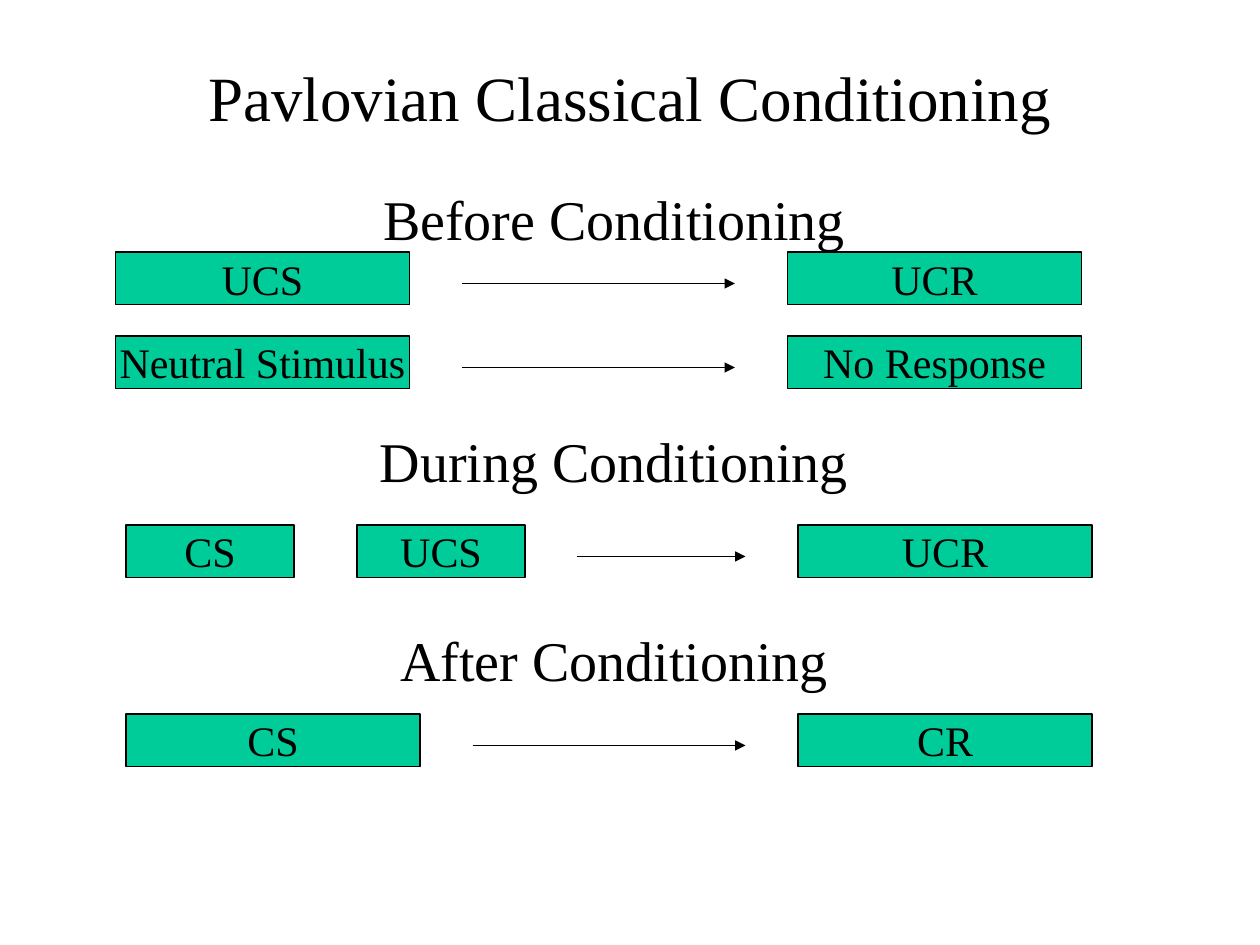
from dataclasses import dataclass

from pptx import Presentation
from pptx.dml.color import RGBColor as Color
from pptx.enum.shapes import MSO_CONNECTOR as Connector, MSO_SHAPE as Shape
from pptx.enum.text import MSO_ANCHOR as Anchor, PP_ALIGN as Align
from pptx.oxml.ns import qn
from pptx.util import Inches, Pt
from lxml.etree import SubElement


@dataclass(frozen=True)
class Theme:
    """Colours, type and line sizes of the slide."""
    font: str = "Times New Roman"
    ink: Color = Color(0x00, 0x00, 0x00)
    green: Color = Color(0x00, 0xCC, 0x99)
    title: int = 36
    heading: int = 32
    label: int = 24
    line: float = 0.75


THEME = Theme()
COLUMNS, ROWS = 120, 90
BOX_WIDTH, PAIR_WIDTH, BOX_HEIGHT = 28, 16, 5
PAIR_GAP, ARROW_GAP, ARROW_DROP = 6, 5, 3


def grid(*units):
    """Turn grid units, twelve to the inch, into slide lengths."""
    return [Inches(unit / 12) for unit in units]


def write_text(frame, text, size, wrap=True, anchor=Anchor.TOP):
    """Write one centred line into a text frame."""
    frame.word_wrap = wrap
    frame.vertical_anchor = anchor
    para = frame.paragraphs[0]
    para.alignment = Align.CENTER
    span = para.add_run()
    span.text = text
    span.font.name = THEME.font
    span.font.size = Pt(size)
    span.font.color.rgb = THEME.ink


def add_heading(page, area, text, size):
    """Place a centred heading in the given area."""
    box = page.shapes.add_textbox(*grid(*area))
    write_text(box.text_frame, text, size)


def add_label_box(page, area, text):
    """Place a green labelled rectangle in the given area."""
    box = page.shapes.add_shape(Shape.RECTANGLE, *grid(*area))
    box.shadow.inherit = False
    box.fill.solid()
    box.fill.fore_color.rgb = THEME.green
    box.line.color.rgb = THEME.ink
    box.line.width = Pt(THEME.line)
    write_text(box.text_frame, text, THEME.label, wrap=False, anchor=Anchor.MIDDLE)


def add_arrow(page, start, end, row):
    """Draw a horizontal arrow between two columns."""
    arrow = page.shapes.add_connector(Connector.STRAIGHT, *grid(start, row, end, row))
    arrow.line.color.rgb = THEME.ink
    arrow.line.width = Pt(THEME.line)
    SubElement(arrow.line._get_or_add_ln(), qn("a:tailEnd"), type="triangle")
    SubElement(arrow._element.spPr, qn("a:effectLst"))


def add_pathway(page, area, stimuli, response):
    """Lay out the stimuli, an arrow and the response across the area."""
    left, top, width, height = area
    stimulus_width = BOX_WIDTH if len(stimuli) == 1 else PAIR_WIDTH
    step = stimulus_width + PAIR_GAP
    for index, stimulus in enumerate(stimuli):
        add_label_box(page, (left + index * step, top, stimulus_width, height), stimulus)
    response_left = left + width - BOX_WIDTH
    stimuli_right = left + len(stimuli) * step - PAIR_GAP
    add_arrow(page, stimuli_right + ARROW_GAP, response_left - ARROW_GAP, top + ARROW_DROP)
    add_label_box(page, (response_left, top, BOX_WIDTH, height), response)


def add_stage(page, area, title, first_row, pathways):
    """Place a stage heading and its pathways below it."""
    left, top, width = area
    add_heading(page, (30, top, 57, 7.7), title, THEME.heading)
    for index, (stimuli, response) in enumerate(pathways):
        row = top + first_row + index * 8
        add_pathway(page, (left, row, width, BOX_HEIGHT), stimuli, response)


def main():
    """Build the conditioning slide and save it."""
    deck = Presentation()
    deck.slide_width, deck.slide_height = grid(COLUMNS, ROWS)
    page = deck.slides.add_slide(deck.slide_layouts[6])
    add_heading(page, (11, 5, 98, 8.4), "Pavlovian Classical Conditioning", THEME.title)
    add_stage(page, (11, 17, 92), "Before Conditioning", 7,
              [(["UCS"], "UCR"), (["Neutral Stimulus"], "No Response")])
    add_stage(page, (12, 40, 92), "During Conditioning", 10, [(["CS", "UCS"], "UCR")])
    add_stage(page, (12, 59, 92), "After Conditioning", 9, [(["CS"], "CR")])
    deck.save("out.pptx")


if __name__ == "__main__":
    main()
